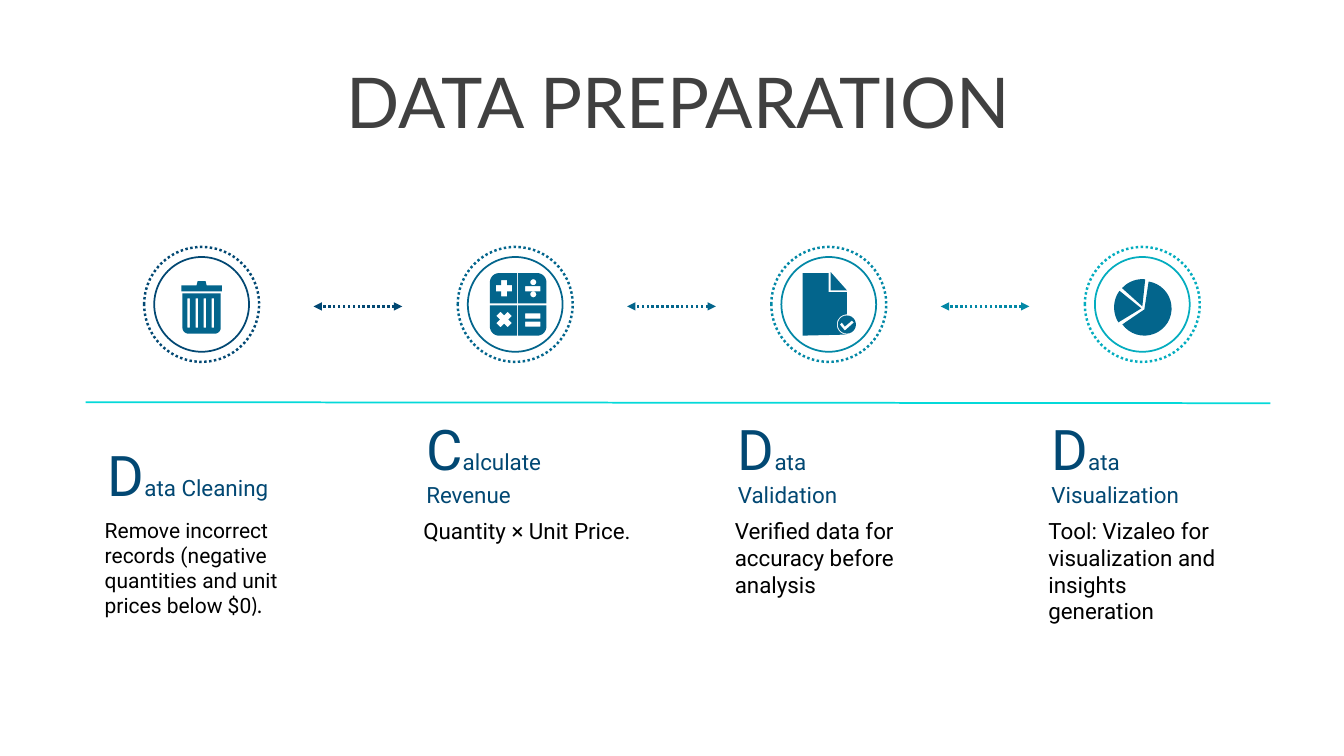
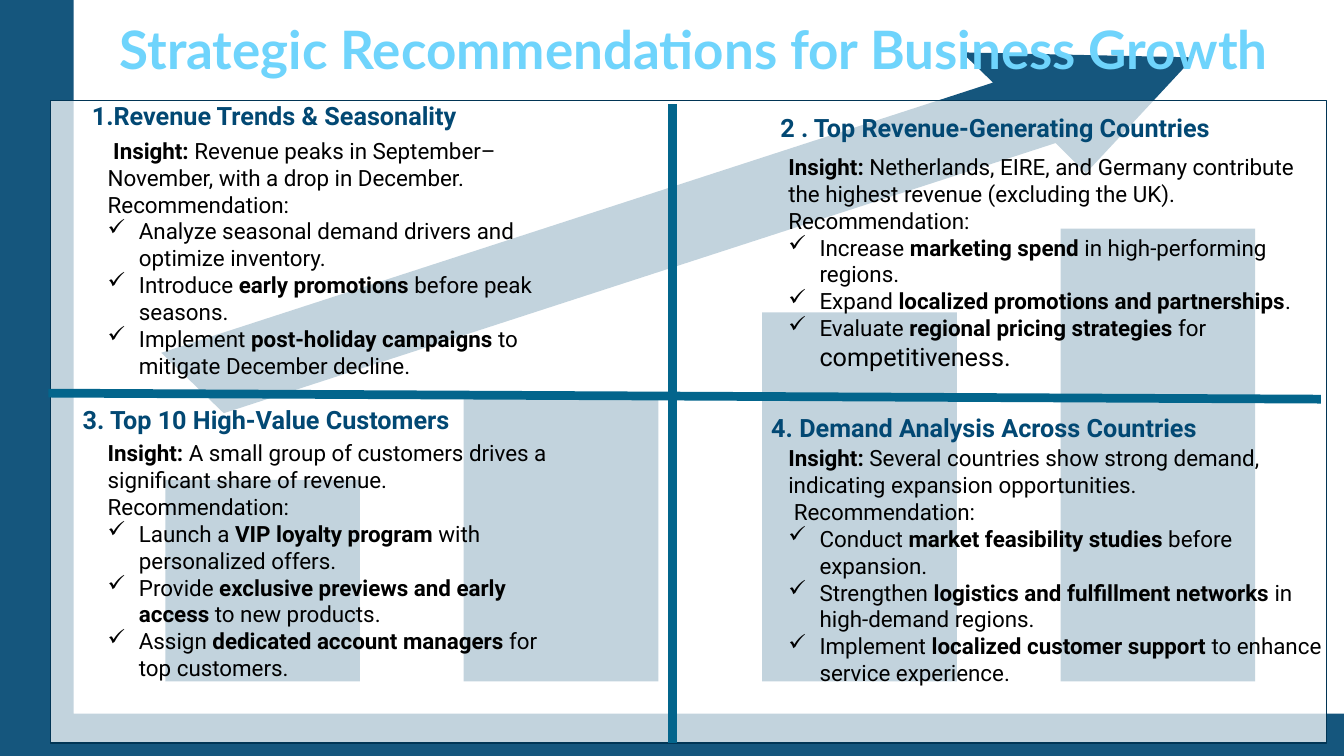
"""Build two slides: the data preparation steps and the growth recommendations."""
from dataclasses import dataclass
from math import cos, radians, sin

from lxml import etree
from pptx import Presentation
from pptx.dml.color import RGBColor
from pptx.enum.dml import MSO_LINE
from pptx.enum.shapes import MSO_CONNECTOR, MSO_SHAPE
from pptx.enum.text import MSO_ANCHOR, MSO_AUTO_SIZE, PP_ALIGN
from pptx.oxml.ns import qn
from pptx.util import Inches, Pt

STRAIGHT = MSO_CONNECTOR.STRAIGHT
OVAL, RECTANGLE = MSO_SHAPE.OVAL, MSO_SHAPE.RECTANGLE
DOTTED = MSO_LINE.ROUND_DOT
TOP, MIDDLE, BOTTOM = MSO_ANCHOR.TOP, MSO_ANCHOR.MIDDLE, MSO_ANCHOR.BOTTOM
NO_AUTOFIT = MSO_AUTO_SIZE.NONE
LEFT, CENTER = PP_ALIGN.LEFT, PP_ALIGN.CENTER

BLACK = RGBColor(0x00, 0x00, 0x00)
WHITE = RGBColor(0xFF, 0xFF, 0xFF)
CHARCOAL = RGBColor(0x40, 0x40, 0x40)
NAVY = RGBColor(0x02, 0x48, 0x73)
DARK_NAVY = RGBColor(0x01, 0x35, 0x55)
BLUE = RGBColor(0x03, 0x65, 0x8C)
TEAL = RGBColor(0x03, 0x88, 0xA6)
AQUA = RGBColor(0x04, 0xAD, 0xBF)
CYAN = RGBColor(0x04, 0xD9, 0xD9)
SKY = RGBColor(0x6F, 0xD4, 0xFC)
LATO, ROBOTO = "Lato", "Roboto"

Contour = list[tuple[float, float]]


@dataclass(frozen=True)
class Run:
    text: str
    size: float = 16
    color: RGBColor = BLACK
    bold: bool = False
    font: str = ROBOTO


@dataclass(frozen=True)
class Box:
    left: float
    top: float
    width: float
    height: float

    def lengths(self) -> list:
        return [Inches(value) for value in (self.left, self.top, self.width, self.height)]


@dataclass(frozen=True)
class Step:
    color: RGBColor
    icon: list[Contour]
    left: float
    heading: str
    heading_width: float
    body: list[Run]
    body_width: float


@dataclass(frozen=True)
class Point:
    before: str
    strong: str = ""
    after: str = ""
    closing: str = ""

    def runs(self) -> list[Run]:
        parts = [Run(self.before), Run(self.strong, bold=True),
                 Run(self.after), Run(self.closing, 18)]
        return [part for part in parts if part.text]


@dataclass(frozen=True)
class Card:
    heading: str
    heading_box: Box
    body_box: Box
    insight: str
    points: list[Point]
    lead: str = "Insight:"
    label: str = "Recommendation:"


def apply(target, formats: dict) -> None:
    for name, value in formats.items():
        setattr(target, name, value)


def fill_runs(paragraph, runs: list[Run]) -> None:
    for item in runs:
        run = paragraph.add_run()
        run.text = item.text
        apply(run.font, {"name": item.font, "size": Pt(item.size), "bold": item.bold})
        run.font.color.rgb = item.color


def add_text(slide, box: Box, paragraphs: list[list[Run]], align=LEFT, anchor=TOP):
    shape = slide.shapes.add_textbox(*box.lengths())
    frame = shape.text_frame
    apply(frame, {"word_wrap": True, "auto_size": NO_AUTOFIT, "vertical_anchor": anchor})
    for index, runs in enumerate(paragraphs):
        paragraph = frame.add_paragraph() if index else frame.paragraphs[0]
        paragraph.alignment = align
        fill_runs(paragraph, runs)
    return shape


def set_title(slide, box: Box, run: Run, spacing: float):
    title = slide.shapes.title
    left, top, width, height = box.lengths()
    apply(title, {"left": left, "top": top, "width": width, "height": height})
    apply(title.text_frame, {"word_wrap": True, "auto_size": NO_AUTOFIT,
                             "vertical_anchor": MIDDLE})
    paragraph = title.text_frame.paragraphs[0]
    apply(paragraph, {"alignment": CENTER, "line_spacing": spacing, "space_before": Pt(10)})
    fill_runs(paragraph, [run])
    title.element.getparent().append(title.element)
    return title


def add_solid(parent, color: RGBColor):
    fill = etree.SubElement(parent, qn("a:solidFill"))
    etree.SubElement(fill, qn("a:srgbClr"), val=str(color))


def outline_text(title, color: RGBColor, width: float) -> None:
    properties = title.text_frame.paragraphs[0].runs[0].font._element
    line = etree.Element(qn("a:ln"), w=str(Pt(width)))
    add_solid(line, color)
    properties.insert(0, line)


def set_alpha(shape, percent: int) -> None:
    color = shape.element.spPr.find(qn("a:solidFill")).find(qn("a:srgbClr"))
    etree.SubElement(color, qn("a:alpha"), val=str(percent * 1000))


def add_line(slide, start: tuple, end: tuple, color: RGBColor, width: float, arrows=False):
    points = [Inches(value) for value in (*start, *end)]
    connector = slide.shapes.add_connector(STRAIGHT, *points)
    connector.line.color.rgb = color
    connector.line.width = Pt(width)
    properties = connector.element.spPr
    if arrows:
        connector.line.dash_style = DOTTED
        for end_name in ("a:headEnd", "a:tailEnd"):
            etree.SubElement(properties.find(qn("a:ln")), qn(end_name), type="triangle")
    etree.SubElement(properties, qn("a:effectLst"))


def add_ring(slide, center: tuple, radius: float, color: RGBColor, width: float):
    box = Box(center[0] - radius, center[1] - radius, 2 * radius, 2 * radius)
    ring = slide.shapes.add_shape(OVAL, *box.lengths())
    ring.shadow.inherit = False
    ring.fill.background()
    ring.line.color.rgb = color
    ring.line.width = Pt(width)
    return ring


def add_outline(slide, contours: list[Contour], color: RGBColor):
    builder = None
    for contour in contours:
        points = [(Inches(x), Inches(y)) for x, y in contour]
        if builder is None:
            builder = slide.shapes.build_freeform(*points[0])
        else:
            builder.move_to(*points[0])
        builder.add_line_segments(points[1:], close=True)
    shape = builder.convert_to_shape()
    shape.shadow.inherit = False
    shape.fill.solid()
    shape.fill.fore_color.rgb = color
    shape.line.fill.background()
    return shape


def arc(x: float, y: float, radius: float, start: float, end: float) -> Contour:
    angles = [radians(start + (end - start) * step / 24) for step in range(25)]
    return [(x + radius * cos(angle), y + radius * sin(angle)) for angle in angles]


def block(left, top, right, bottom, corners=(0, 0, 0, 0)) -> Contour:
    """Return a rectangle with radii given clockwise from the top left."""
    points: Contour = []
    places = ((left, top, 1, 1), (right, top, -1, 1),
              (right, bottom, -1, -1), (left, bottom, 1, -1))
    for index, ((x, y, inward_x, inward_y), radius) in enumerate(zip(places, corners)):
        start = 180 + 90 * index
        points += (arc(x + inward_x * radius, y + inward_y * radius, radius, start, start + 90)
                   if radius else [(x, y)])
    return points


def cross(x: float, y: float, turn: float) -> Contour:
    arm, half = 0.08, 0.03
    corners = [(-half, -arm), (half, -arm), (half, -half), (arm, -half), (arm, half),
               (half, half), (half, arm), (-half, arm), (-half, half), (-arm, half),
               (-arm, -half), (-half, -half)]
    c, s = cos(radians(turn)), sin(radians(turn))
    return [(x + a * c - b * s, y + a * s + b * c) for a, b in corners]


BIN = [block(1.81, 2.91, 2.19, 3.31, (0, 0, 0.06, 0.06)),
       [(1.8, 2.83), (1.95, 2.83), (1.96, 2.79), (2.04, 2.79), (2.05, 2.83),
        (2.2, 2.83), (2.2, 2.89), (1.8, 2.89)],
       *[block(1.86 + 0.08 * slot, 2.96, 1.885 + 0.08 * slot, 3.25) for slot in range(4)]]
CALCULATOR = [block(4.86, 2.71, 5.13, 3.01, (0.09, 0, 0, 0)),
              block(5.14, 2.71, 5.42, 3.01, (0, 0.09, 0, 0)),
              block(5.14, 3.03, 5.42, 3.33, (0, 0, 0.09, 0)),
              block(4.86, 3.03, 5.13, 3.33, (0, 0, 0, 0.09)),
              cross(5, 2.86, 0), cross(5, 3.17, 45),
              *[block(5.21, top, 5.36, top + 0.05) for top in (2.84, 3.11, 3.19)],
              *[arc(5.29, y, 0.03, 0, 360) for y in (2.8, 2.92)]]
DOCUMENT = [[(7.96, 2.71), (8.22, 2.71), (8.22, 2.9), (8.4, 2.9),
             *arc(8.4, 3.22, 0.1, 270, 90), (7.96, 3.33)],
            [(8.24, 2.7), (8.4, 2.88), (8.24, 2.88)],
            arc(8.4, 3.22, 0.09, 0, 360),
            [(8.45, 3.18), (8.38, 3.24), (8.35, 3.2), (8.33, 3.22), (8.38, 3.28), (8.47, 3.2)]]
PIE = [[(11.32, 3.06), *arc(11.33, 3.05, 0.28, 148, 216)],
       [(11.35, 3.07), *arc(11.35, 3.06, 0.27, -81, 144)],
       [(11.33, 3.04), *arc(11.33, 3.04, 0.27, 222, 276)]]

STEPS = [
    Step(NAVY, BIN, 0.94, "Data Cleaning", 1.93,
         [Run("Remove incorrect records (negative quantities and unit prices below $0", 15),
          Run(").", 15, font=LATO)], 2.35),
    Step(BLUE, CALCULATOR, 4.1, "Calculate Revenue", 2.2, [Run("Quantity × Unit Price.")], 2.44),
    Step(TEAL, DOCUMENT, 7.19, "Data Validation", 1.85,
         [Run("Verified data for accuracy before analysis")], 2.44),
    Step(AQUA, PIE, 10.3, "Data Visualization", 1.57,
         [Run("Tool: Vizaleo for visualization and insights generation")], 2.07),
]

CARDS = [
    Card("1.Revenue Trends & Seasonality", Box(0.77, 0.95, 3.9, 0.4), Box(0.97, 1.31, 5.07, 2.56),
         " Revenue peaks in September–November, with a drop in December.",
         [Point("Analyze seasonal demand drivers and optimize inventory."),
          Point("Introduce ", "early promotions", " before peak seasons."),
          Point("Implement ", "post-holiday campaigns", " to mitigate December decline.")],
         lead=" Insight:"),
    Card("2 . Top Revenue-Generating Countries", Box(7.38, 1.07, 4.98, 0.4),
         Box(7.72, 1.47, 5.48, 2.59),
         " Netherlands, EIRE, and Germany contribute the highest revenue (excluding the UK).",
         [Point("Increase ", "marketing spend", " in high-performing regions."),
          Point("Expand ", "localized promotions and partnerships", "."),
          Point("Evaluate ", "regional pricing strategies", " for ", "competitiveness.")]),
    Card("3. Top 10 High-Value Customers", Box(0.69, 3.96, 3.9, 0.4), Box(0.97, 4.31, 4.73, 3.13),
         " A small group of customers drives a significant share of revenue.",
         [Point("Launch a ", "VIP loyalty program", " with personalized offers."),
          Point("Provide ", "exclusive previews and early access", " to new products."),
          Point("Assign ", "dedicated account managers", " for top customers.")]),
    Card("4. Demand Analysis Across Countries", Box(7.54, 4.04, 4.44, 0.4),
         Box(7.72, 4.36, 5.62, 2.56),
         " Several countries show strong demand, indicating expansion opportunities.",
         [Point("Conduct ", "market feasibility studies", " before expansion."),
          Point("Strengthen ", "logistics and fulfillment networks", " in high-demand regions."),
          Point("Implement ", "localized customer support", " to enhance service experience.")],
         label=" Recommendation:"),
]


def add_step(slide, index: int, step: Step) -> None:
    center = (2 + 3.11 * index, 3.02)
    add_ring(slide, center, 0.47, step.color, 1.25)
    add_ring(slide, center, 0.57, step.color, 1.75).line.dash_style = DOTTED
    add_outline(slide, step.icon, BLUE)
    if index < len(STEPS) - 1:
        left = 3.11 * (index + 1)
        add_line(slide, (left + 0.88, 3.04), (left, 3.04), step.color, 1.75, arrows=True)
    heading = [Run(step.heading[0], 40, NAVY), Run(step.heading[1:], 16, NAVY)]
    add_text(slide, Box(step.left + 0.03, 4.32, step.heading_width, 0.77), [heading],
             anchor=BOTTOM)
    add_text(slide, Box(step.left, 5.08, step.body_width, 1.11), [step.body])


def add_card(slide, card: Card) -> None:
    add_text(slide, card.heading_box, [[Run(card.heading, 18, NAVY, True)]], CENTER)
    intro = [[Run(card.lead, bold=True), Run(card.insight)], [Run(card.label)]]
    body = add_text(slide, card.body_box, intro + [point.runs() for point in card.points])
    indent = Inches(0.31)
    for paragraph in body.text_frame.paragraphs[len(intro):]:
        properties = paragraph._p.get_or_add_pPr()
        apply_indent = {"marL": str(indent), "indent": str(-indent)}
        properties.attrib.update(apply_indent)
        etree.SubElement(properties, qn("a:buChar"), char="✓")


def build_preparation(slide) -> None:
    set_title(slide, Box(0.4, 0.68, 12.66, 0.79),
              Run("DATA PREPARATION", 50, CHARCOAL, font=LATO), 0.8)
    add_line(slide, (0.85, 3.99), (12.6, 4), CYAN, 1.25)
    for index, step in enumerate(STEPS):
        add_step(slide, index, step)


def build_recommendations(slide) -> None:
    bars = [block(1.64 + 2.96 * bar, 4.76 - 0.83 * bar, 3.57 + 2.96 * bar, 6.76)
            for bar in range(4)]
    arrow = [(9.54, 0.52), (11.84, 0.57), (10.77, 1.72), (10.47, 1.42),
             (2.22, 4.1), (1.6, 3.5), (9.85, 0.82)]
    axes = [(0, 0), (0.73, 0), (0.73, 7.08), (13.33, 7.08), (13.33, 7.5), (0, 7.5)]
    set_alpha(add_outline(slide, [*bars, arrow, axes], NAVY), 92)
    panel = slide.shapes.add_shape(RECTANGLE, *Box(0.5, 1, 12.66, 6.37).lengths())
    panel.shadow.inherit = False
    panel.fill.solid()
    panel.fill.fore_color.rgb = WHITE
    set_alpha(panel, 74)
    panel.line.color.rgb = DARK_NAVY
    panel.line.width = Pt(1)
    title = set_title(slide, Box(0.55, 0.16, 12.66, 0.79),
                      Run("Strategic Recommendations for Business Growth", 37.8, SKY, True, LATO),
                      0.7)
    outline_text(title, BLUE, 1.75)
    for card in CARDS:
        add_card(slide, card)
    add_line(slide, (6.67, 1.03), (6.67, 7.37), BLUE, 6.25)
    add_line(slide, (0.48, 3.9), (13.1, 3.96), BLUE, 6.25)


def main() -> None:
    presentation = Presentation()
    apply(presentation, {"slide_width": Inches(13.33), "slide_height": Inches(7.5)})
    title_only = presentation.slide_layouts[5]
    for build in (build_preparation, build_recommendations):
        build(presentation.slides.add_slide(title_only))
    presentation.save("out.pptx")


if __name__ == "__main__":
    main()
